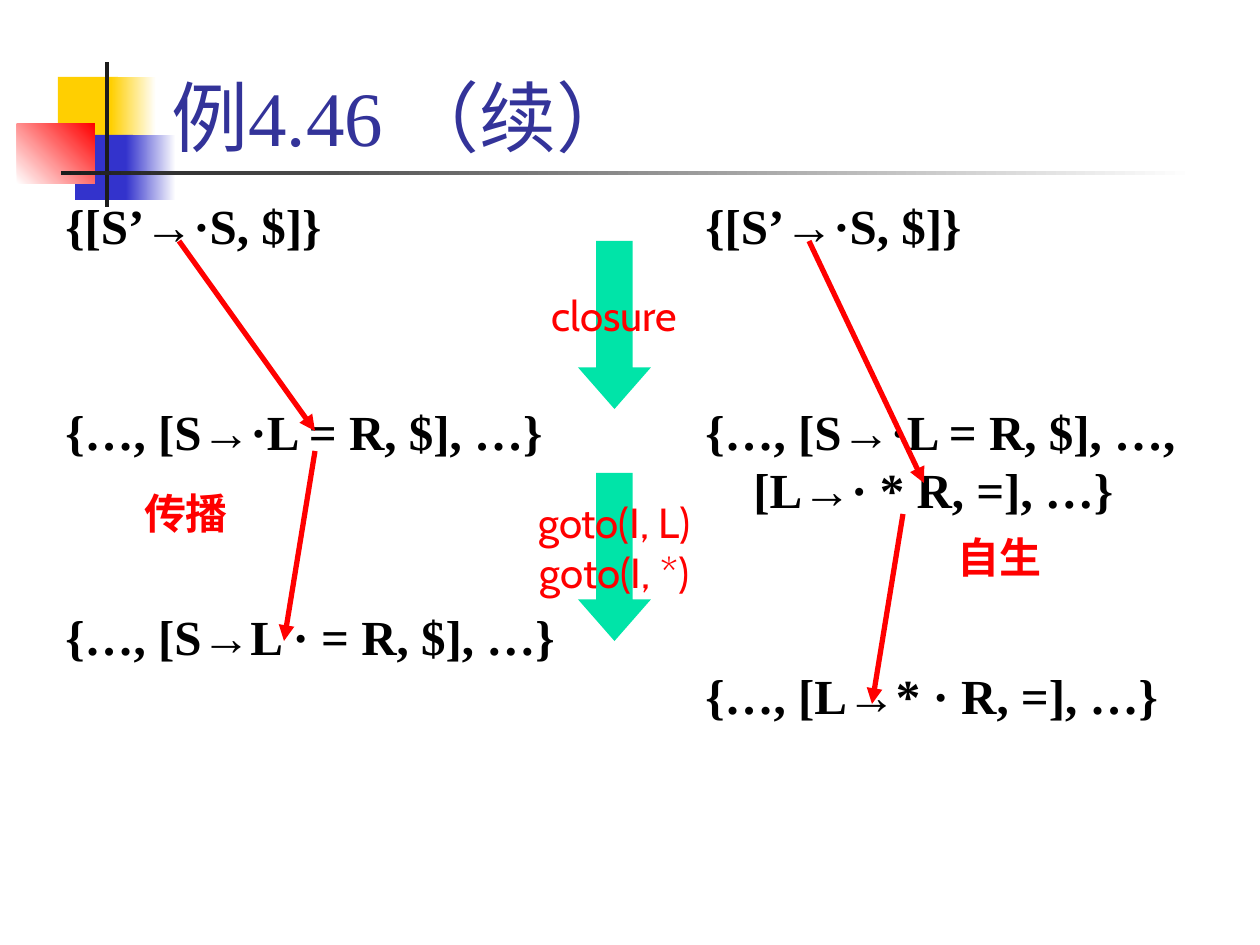
from pptx import Presentation
from pptx.dml.color import RGBColor
from pptx.enum.shapes import MSO_CONNECTOR, MSO_SHAPE
from pptx.enum.text import MSO_ANCHOR, PP_ALIGN
from pptx.oxml.ns import qn
from pptx.util import Inches, Pt
from lxml.etree import SubElement

PX = Inches(1) / 126
WHITE = RGBColor(0xFF, 0xFF, 0xFF)
BLACK = RGBColor(0x00, 0x00, 0x00)
RED = RGBColor(0xFF, 0x00, 0x00)
YELLOW = RGBColor(0xFF, 0xCF, 0x01)
BLUE = RGBColor(0x33, 0x33, 0xCC)
NAVY = RGBColor(0x33, 0x33, 0x99)
DARK = RGBColor(0x1C, 0x1C, 0x1C)
GREEN = RGBColor(0x00, 0xE4, 0xA8)
SERIF = "Times New Roman"
SANS = "Cabin"


def px(*values):
    return [round(v * PX) for v in values]


class Deck:
    def __init__(self, width, height):
        self.prs = Presentation()
        self.prs.slide_width, self.prs.slide_height = px(width, height)
        self.s = self.prs.slides.add_slide(self.prs.slide_layouts[6])

    def shape(self, kind, box, color):
        sp = self.s.shapes.add_shape(kind, *px(*box))
        sp.shadow.inherit = False
        sp.line.fill.background()
        sp.fill.solid()
        sp.fill.fore_color.rgb = color
        return sp

    def fade(self, box, start, end, angle=0):
        sp = self.shape(MSO_SHAPE.RECTANGLE, box, start)
        sp.fill.gradient()
        sp.fill.gradient_angle = angle
        for stop, color, position in zip(sp.fill.gradient_stops, (start, end), (0, 1)):
            stop.color.rgb = color
            stop.position = position

    def set_text(self, sp, lines, size, font, color, bold=False, align=PP_ALIGN.LEFT,
                 anchor=MSO_ANCHOR.TOP, wrap=True):
        tf = sp.text_frame
        tf.word_wrap = wrap
        tf.vertical_anchor = anchor
        for i, line in enumerate(lines):
            p = tf.add_paragraph() if i else tf.paragraphs[0]
            p.text = line
            p.alignment = align
            for r in p.runs:
                r.font.size = Pt(size)
                r.font.name = font
                r.font.bold = bold
                r.font.color.rgb = color
        return tf

    def text(self, box, lines, *style, **options):
        return self.set_text(self.s.shapes.add_textbox(*px(*box)), lines, *style, **options)

    def items(self, box, lines):
        tf = self.text(box, lines, 28, SERIF, BLACK, bold=True)
        indent = px(48)[0]
        for i, p in enumerate(tf.paragraphs):
            p_pr = p._p.get_or_add_pPr()
            p_pr.set("marL", str(indent))
            p_pr.set("indent", str(-indent))
            if i:
                p.space_before = Pt(84)

    def step(self, box, lines):
        sp = self.shape(MSO_SHAPE.DOWN_ARROW, box, GREEN)
        sp.adjustments[0] = 0.5
        sp.adjustments[1] = 0.57
        self.set_text(sp, lines, 24, SANS, RED, align=PP_ALIGN.CENTER,
                      anchor=MSO_ANCHOR.MIDDLE, wrap=False)

    def label(self, box, text):
        self.text(box, [text], 24, SANS, RED, bold=True, align=PP_ALIGN.CENTER, wrap=False)

    def arrow(self, *ends):
        c = self.s.shapes.add_connector(MSO_CONNECTOR.STRAIGHT, *px(*ends))
        c.line.color.rgb = RED
        c.line.width = Pt(3)
        SubElement(c.line._get_or_add_ln(), qn("a:tailEnd"), type="triangle")
        SubElement(c._element.spPr, qn("a:effectLst"))


def main():
    deck = Deck(1260, 945)

    deck.shape(MSO_SHAPE.RECTANGLE, (58, 77, 60, 65), YELLOW)
    deck.fade((111, 77, 45, 65), YELLOW, WHITE)
    deck.shape(MSO_SHAPE.RECTANGLE, (75, 135, 58, 65), BLUE)
    deck.fade((126, 135, 50, 65), BLUE, WHITE)
    deck.fade((17, 124, 78, 60), WHITE, RED, angle=45)
    deck.shape(MSO_SHAPE.RECTANGLE, (105, 62, 4, 145), DARK)
    deck.fade((61, 171, 1134, 4), DARK, WHITE)

    deck.text((159, 10, 1074, 158), ["例4.46 （续）"], 44, SERIF, NAVY,
              anchor=MSO_ANCHOR.BOTTOM)

    deck.items((53, 189, 525, 672), [
        "{[S’→·S, $]}",
        "{…, [S→·L = R, $], …}",
        "{…, [S→L · = R, $], …}",
    ])
    deck.items((693, 189, 525, 672), [
        "{[S’→·S, $]}",
        "{…, [S→·L = R, $], …,\n[L→· * R, =], …}",
        "{…, [L→* · R, =], …}",
    ])

    deck.step((578, 241, 73, 168), ["closure"])
    deck.step((578, 473, 73, 168), ["goto(I, L)", "goto(I, *)"])

    deck.arrow(179, 241, 315, 431)
    deck.arrow(315, 451, 284, 641)
    deck.label((131, 481, 110, 63), "传播")
    deck.arrow(809, 241, 924, 483)
    deck.arrow(903, 514, 872, 704)
    deck.label((945, 525, 110, 63), "自生")

    deck.prs.save("out.pptx")


if __name__ == "__main__":
    main()
